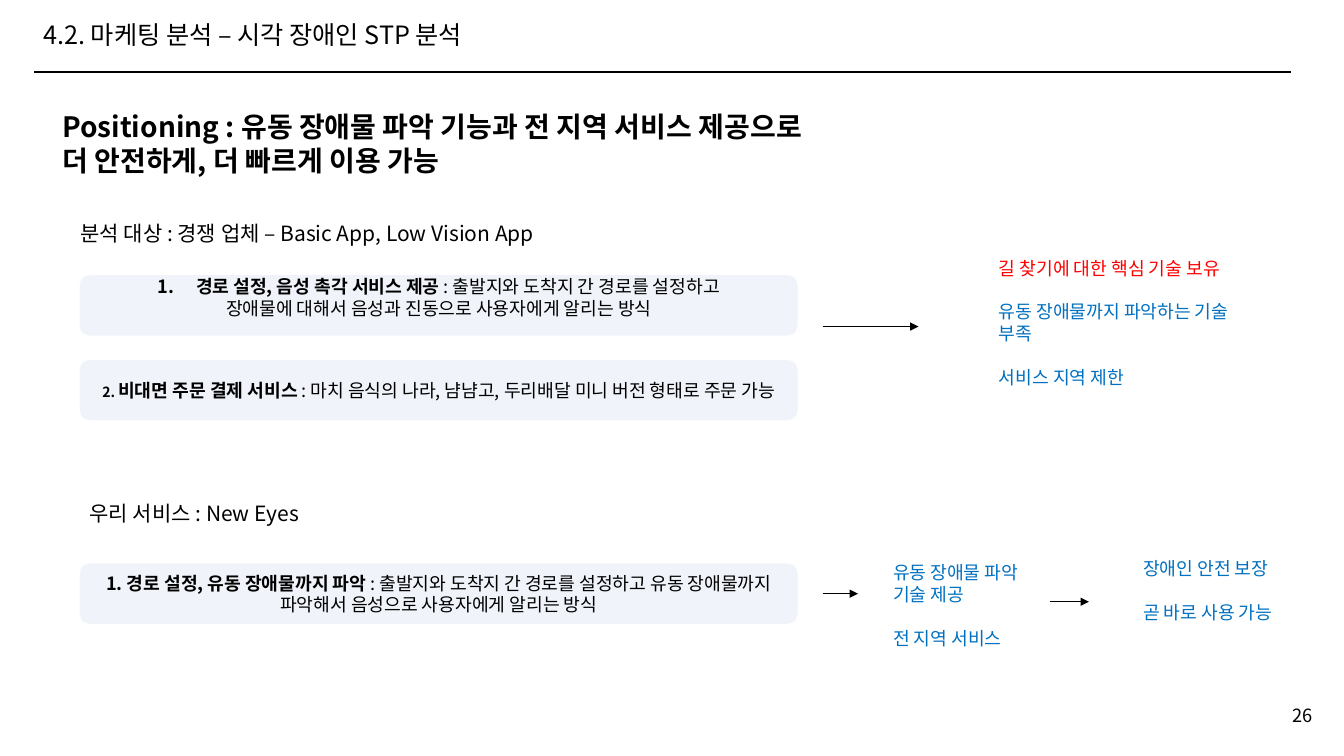
from lxml import etree
from pptx import Presentation, util as u
from pptx.dml.color import RGBColor
from pptx.enum import shapes, text
from pptx.oxml.ns import qn

FONT = "Noto Sans CJK KR"
BLACK, RED, BLUE, PANEL = "000000", "FF0000", "0070C0", "DAE3F3"
SIZE = 13
GAP = 15.7  # one line of note text, in points
PANEL_LEFT, PANEL_W, PANEL_H = 0.79, 7.12, 0.6

TITLE = "4.2. 마케팅 분석 – 시각 장애인 STP 분석"
# left, top, width, height, size, bold, lines
LABELS = [
    (0.52, 1.04, 11.11, 1.41, 20, True,
     ["Positioning : 유동 장애물 파악 기능과 전 지역 서비스 제공으로",
      "더 안전하게, 더 빠르게 이용 가능"]),
    (0.7, 2.14, 6.67, 0.35, 15, False,
     ["분석 대상 : 경쟁 업체 – Basic App, Low Vision App"]),
    (0.79, 4.92, 6.67, 0.35, 15, False, ["우리 서비스 : New Eyes"]),
    (12.72, 6.94, 0.52, 0.32, 13, False, ["26"]),
]
# top, bottom inset, numbered, paragraphs of (text, bold, size)
PANELS = [
    (2.73, 0.17, True,
     [[("경로 설정, 음성 촉각 서비스 제공 ", True, SIZE),
       (": 출발지와 도착지 간 경로를 설정하고", False, SIZE)],
      [("장애물에 대해서 음성과 진동으로 사용자에게 알리는 방식", False, SIZE)]]),
    (3.57, 0, False,
     [[("2. ", True, 10), ("비대면 주문 결제 서비스", True, SIZE),
       (" : 마치 음식의 나라, 냠냠고, 두리배달 미니 버전 형태로 주문 가능", False, SIZE)]]),
    (5.59, 0, False,
     [[("1. 경로 설정, 유동 장애물까지 파악", True, SIZE),
       (" : 출발지와 도착지 간 경로를 설정하고 유동 장애물까지 파악해서 "
        "음성으로 사용자에게 알리는 방식", False, SIZE)]]),
]
# left, top, width, height, lines of (text, colour)
NOTES = [
    (9.81, 2.5, 2.56, 1.63,
     [("길 찾기에 대한 핵심 기술 보유", RED),
      ("유동 장애물까지 파악하는 기술 부족", BLUE), ("서비스 지역 제한", BLUE)]),
    (8.76, 5.52, 1.66, 0.98,
     [("유동 장애물 파악 기술 제공", BLUE), ("전 지역 서비스", BLUE)]),
    (11.24, 5.48, 1.66, 0.98,
     [("장애인 안전 보장", BLUE), ("곧 바로 사용 가능", BLUE)]),
]
# left, right, height on the slide
ARROWS = [(8.16, 9.11, 3.24), (8.16, 8.51, 5.89), (10.41, 10.8, 5.97)]


def rgb(color):
    return RGBColor.from_string(color)


def inches(*values):
    return [u.Inches(v) for v in values]


def write(tf, paragraphs, align=text.PP_ALIGN.LEFT, gap=0):
    """Fill a frame with paragraphs of (text, bold, size, colour) runs."""
    tf.word_wrap = True
    for i, runs in enumerate(paragraphs):
        p = tf.paragraphs[0] if i == 0 else tf.add_paragraph()
        p.alignment = align
        if i and gap:
            p.space_before = u.Pt(gap)
        for words, bold, size, color in runs:
            r = p.add_run()
            r.text = words
            r.font.name, r.font.size, r.font.bold = FONT, u.Pt(size), bold
            r.font.color.rgb = rgb(color)
            ea = etree.SubElement(r._r.get_or_add_rPr(), qn("a:ea"))
            ea.set("typeface", FONT)


def add_text(s, box, paragraphs, gap=0):
    write(s.shapes.add_textbox(*inches(*box)).text_frame, paragraphs, gap=gap)


def add_number(p):
    pPr = p._p.get_or_add_pPr()
    pPr.set("marL", str(u.Inches(0.38)))
    pPr.set("indent", str(-u.Inches(0.38)))
    font = etree.SubElement(pPr, qn("a:buFont"))
    font.set("typeface", "+mj-lt")
    etree.SubElement(pPr, qn("a:buAutoNum")).set("type", "arabicPeriod")


def add_panel(s, top, bottom_inset, numbered, paragraphs):
    sp = s.shapes.add_shape(shapes.MSO_SHAPE.ROUNDED_RECTANGLE,
                            *inches(PANEL_LEFT, top, PANEL_W, PANEL_H))
    sp.shadow.inherit = False
    sp.line.fill.background()
    sp.fill.solid()
    sp.fill.fore_color.rgb = rgb(PANEL)
    clr = sp._element.spPr.find(".//" + qn("a:srgbClr"))
    etree.SubElement(clr, qn("a:alpha")).set("val", "38000")
    tf = sp.text_frame
    tf.vertical_anchor = text.MSO_ANCHOR.MIDDLE
    tf.margin_top, tf.margin_bottom = inches(0, bottom_inset)
    write(tf, [[(*run, BLACK) for run in runs] for runs in paragraphs],
          text.PP_ALIGN.CENTER)
    if numbered:
        add_number(tf.paragraphs[0])


def add_line(s, left, right, y, width, arrow=False):
    c = s.shapes.add_connector(shapes.MSO_CONNECTOR.STRAIGHT,
                               *inches(left, y, right, y))
    c.line.color.rgb = rgb(BLACK)
    c.line.width = u.Pt(width)
    if arrow:
        ln = c.line._get_or_add_ln()
        etree.SubElement(ln, qn("a:tailEnd")).set("type", "triangle")
    etree.SubElement(c._element.spPr, qn("a:effectLst"))


def main():
    prs = Presentation()
    prs.slide_width, prs.slide_height = inches(13.33, 7.5)
    s = prs.slides.add_slide(prs.slide_layouts[5])

    title = s.shapes.title
    title.left, title.top, title.width, title.height = inches(0.33, 0.14, 6.32, 0.71)
    title.text_frame.auto_size = text.MSO_AUTO_SIZE.NONE
    title.text_frame.vertical_anchor = text.MSO_ANCHOR.TOP
    write(title.text_frame, [[(TITLE, False, 18, BLACK)]])
    add_line(s, 0.34, 12.8, 0.71, 1.5)

    for *box, size, bold, lines in LABELS:
        add_text(s, box, [[(line, bold, size, BLACK)] for line in lines])
    for panel in PANELS:
        add_panel(s, *panel)
    for *box, lines in NOTES:
        add_text(s, box, [[(line, False, SIZE, color)] for line, color in lines], GAP)
    for left, right, y in ARROWS:
        add_line(s, left, right, y, 0.5, arrow=True)

    prs.save("out.pptx")


if __name__ == "__main__":
    main()
